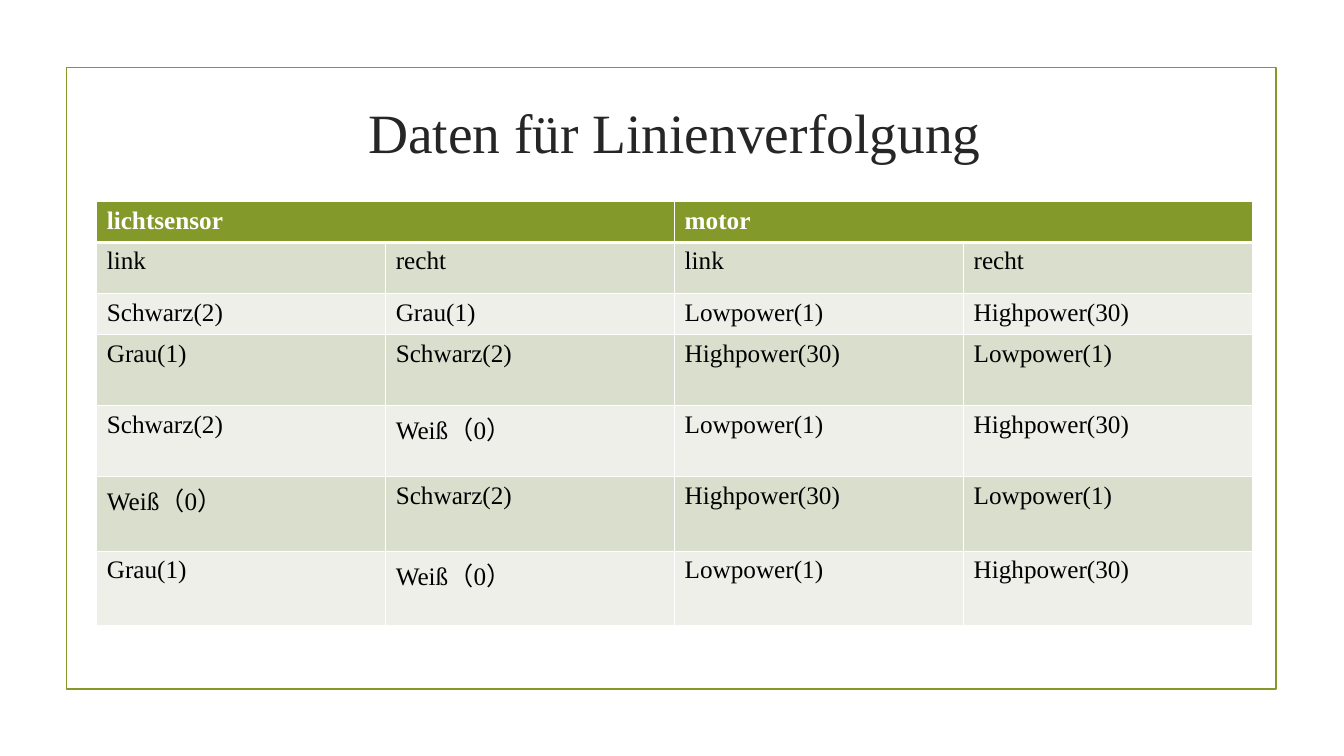
from dataclasses import dataclass

from lxml.etree import SubElement as Sub
from pptx import Presentation
from pptx.dml.color import RGBColor as Rgb
from pptx.enum.shapes import MSO_SHAPE as Shape
from pptx.enum.text import MSO_ANCHOR as Anchor, PP_ALIGN as Align
from pptx.oxml.ns import qn
from pptx.util import Inches, Pt


@dataclass(frozen=True)
class Theme:
    font: str = "Times New Roman"
    green: str = "83992A"
    ink: str = "262626"
    black: str = "000000"
    white: str = "FFFFFF"
    bands: tuple = ("D9DECD", "EDEFE8")
    title: float = 39.6
    body: float = 18
    frame: float = 1.25
    rule: float = 1
    thick: float = 3


class Deck:
    """Places elements by percentages of the slide's width and height."""

    def __init__(self, theme):
        self.theme = theme
        self.show = Presentation()
        self.show.slide_width = Inches(13.33)
        self.show.slide_height = Inches(7.5)
        self.slide = self.show.slides.add_slide(self.show.slide_layouts[6])

    def wide(self, share):
        return round(self.show.slide_width * share / 100)

    def high(self, share):
        return round(self.show.slide_height * share / 100)

    def box(self, left, top, width, height):
        return self.wide(left), self.high(top), self.wide(width), self.high(height)

    def text(self, para, words, size, color, bold=False):
        run = para.add_run()
        run.text = words
        run.font.name = self.theme.font
        run.font.size = Pt(size)
        run.font.bold = bold
        run.font.color.rgb = Rgb.from_string(color)

    def frame(self, *area):
        rect = self.slide.shapes.add_shape(Shape.RECTANGLE, *self.box(*area))
        rect.shadow.inherit = False
        rect.fill.background()
        rect.line.color.rgb = Rgb.from_string(self.theme.green)
        rect.line.width = Pt(self.theme.frame)

    def title(self, words, *area):
        body = self.slide.shapes.add_textbox(*self.box(*area)).text_frame
        body.word_wrap = True
        body.vertical_anchor = Anchor.TOP
        body.margin_top = Inches(0.14)
        para = body.paragraphs[0]
        para.alignment = Align.CENTER
        self.text(para, words, self.theme.title, self.theme.ink)

    def edge(self, cell, side, width):
        props = cell._tc.get_or_add_tcPr()
        line = Sub(props, qn(f"a:ln{side}"), w=str(Pt(width)))
        Sub(Sub(line, qn("a:solidFill")), qn("a:srgbClr"), val=self.theme.white)

    def cell(self, cell, words, row):
        """Styles row 0 as the heading and bands the rows below it."""
        look, head = self.theme, row == 0
        for side in "LRTB":
            thick = (head and side == "B") or (row == 1 and side == "T")
            self.edge(cell, side, look.thick if thick else look.rule)
        cell.fill.solid()
        fill = look.green if head else look.bands[(row - 1) % 2]
        cell.fill.fore_color.rgb = Rgb.from_string(fill)
        if words:
            color = look.white if head else look.black
            self.text(cell.text_frame.paragraphs[0], words, look.body, color, head)

    def table(self, data, left, top, width, rows):
        cols = len(data[0])
        area = self.box(left, top, width, sum(rows))
        grid = self.slide.shapes.add_table(len(data), cols, *area).table
        grid.first_row = grid.horz_banding = False
        for col in grid.columns:
            col.width = self.wide(width / cols)
        for row, (texts, height) in enumerate(zip(data, rows)):
            grid.rows[row].height = self.high(height)
            for col, words in enumerate(texts):
                self.cell(grid.cell(row, col), words, row)
        for col in range(0, cols, 2):
            grid.cell(0, col).merge(grid.cell(0, col + 1))


def main():
    black, gray, white = "Schwarz(2)", "Grau(1)", "Weiß（0）"
    low, high = "Lowpower(1)", "Highpower(30)"
    data = [
        ("lichtsensor", "", "motor", ""),
        ("link", "recht") * 2,
        (black, gray, low, high),
        (gray, black, high, low),
        (black, white, low, high),
        (white, black, high, low),
        (gray, white, low, high),
    ]
    deck = Deck(Theme())
    deck.frame(4.95, 8.93, 90, 82.27)
    deck.title("Daten für Linienverfolgung", 7.05, 11.07, 86.27, 18.8)
    deck.table(data, 7.2, 26.67, 86, (5.4, 6.8, 5.4, 9.4, 9.4, 9.85, 9.85))
    deck.show.save("out.pptx")


if __name__ == "__main__":
    main()
